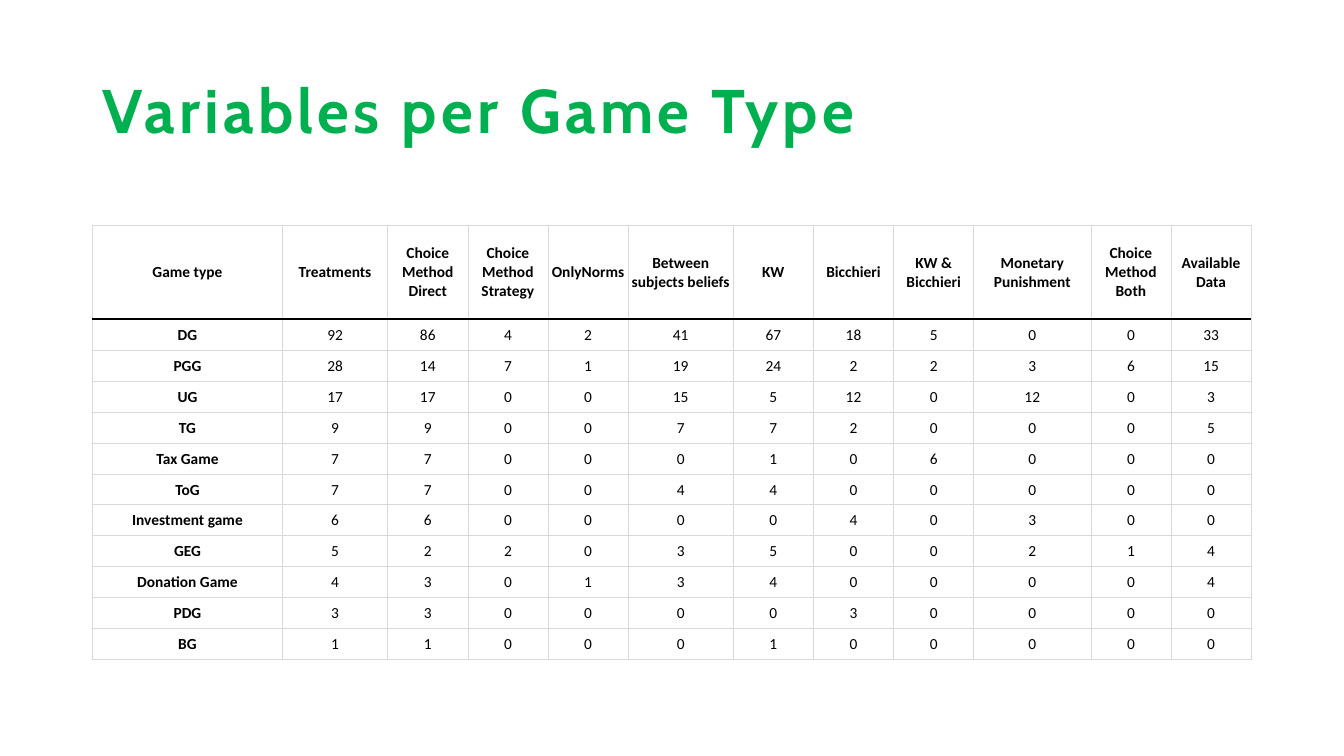
from pptx import Presentation
from pptx.dml.color import RGBColor
from pptx.enum.text import MSO_ANCHOR as Anchor, PP_ALIGN as Align
from pptx.oxml.ns import qn
from pptx.util import Cm, Pt
from lxml.etree import SubElement as Sub

# Content
TITLE = "Variables per Game Type"
HEADS = [
    "Game type", "Treatments", "Choice Method Direct",
    "Choice Method Strategy", "OnlyNorms", "Between subjects beliefs",
    "KW", "Bicchieri", "KW & Bicchieri", "Monetary Punishment",
    "Choice Method Both", "Available Data",
]
GAMES = [
    ("DG", 92, 86, 4, 2, 41, 67, 18, 5, 0, 0, 33),
    ("PGG", 28, 14, 7, 1, 19, 24, 2, 2, 3, 6, 15),
    ("UG", 17, 17, 0, 0, 15, 5, 12, 0, 12, 0, 3),
    ("TG", 9, 9, 0, 0, 7, 7, 2, 0, 0, 0, 5),
    ("Tax Game", 7, 7, 0, 0, 0, 1, 0, 6, 0, 0, 0),
    ("ToG", 7, 7, 0, 0, 4, 4, 0, 0, 0, 0, 0),
    ("Investment game", 6, 6, 0, 0, 0, 0, 4, 0, 3, 0, 0),
    ("GEG", 5, 2, 2, 0, 3, 5, 0, 0, 2, 1, 4),
    ("Donation Game", 4, 3, 0, 1, 3, 4, 0, 0, 0, 0, 4),
    ("PDG", 3, 3, 0, 0, 0, 0, 3, 0, 0, 0, 0),
    ("BG", 1, 1, 0, 0, 0, 1, 0, 0, 0, 0, 0),
]

# Style and sizes in cm
GREEN = RGBColor(0x00, 0xB0, 0x50)
BLACK = RGBColor(0x00, 0x00, 0x00)
GREY = RGBColor(0xD9, 0xD9, 0xD9)
LEFT, WIDTH = 2.33, 29.21
TOP = 5.68
NARROW = 2.02
WIDE = {0: 4.79, 1: 2.65, 5: 2.65, 9: 2.95}
HEAD_H, ROW_H = 2.36, 0.78
INSET = 0.02


def style(run, font, size, color, bold):
    run.font.name = font
    run.font.size = Pt(size)
    run.font.color.rgb = color
    run.font.bold = bold


def border(cell, side, color, width):
    line = Sub(cell._tc.get_or_add_tcPr(), qn(f"a:ln{side}"), w=str(Pt(width)))
    fill = Sub(line, qn("a:solidFill"))
    Sub(fill, qn("a:srgbClr"), val=str(color))


deck = Presentation()
deck.slide_width, deck.slide_height = Cm(33.87), Cm(19.05)
slide = deck.slides.add_slide(deck.slide_layouts[6])

# Title
box = slide.shapes.add_textbox(Cm(LEFT), Cm(1.01), Cm(WIDTH), Cm(3.68))
frame = box.text_frame
frame.word_wrap = True
frame.vertical_anchor = Anchor.MIDDLE
frame.text = TITLE
para = frame.paragraphs[0]
para.line_spacing = 0.9
style(para.runs[0], "Cabin", 44, GREEN, True)
para.runs[0].font._element.set("spc", "300")

# Table grid
rows = [HEADS] + GAMES
height = HEAD_H + ROW_H * len(GAMES)
table = slide.shapes.add_table(len(rows), len(HEADS), Cm(LEFT), Cm(TOP),
                               Cm(WIDTH), Cm(height)).table
table.horz_banding = False
for c, col in enumerate(table.columns):
    col.width = Cm(WIDE.get(c, NARROW))
for r, row in enumerate(table.rows):
    row.height = Cm(ROW_H if r else HEAD_H)

# Table cells, with a black rule under the header
for r, values in enumerate(rows):
    for c, value in enumerate(values):
        cell = table.cell(r, c)
        cell.text = str(value)
        cell.vertical_anchor = Anchor.MIDDLE
        cell.margin_left = cell.margin_right = cell.margin_top = Cm(INSET)
        cell.margin_bottom = 0
        para = cell.text_frame.paragraphs[0]
        para.alignment = Align.CENTER
        style(para.runs[0], "Calibri", 11, BLACK, r == 0 or c == 0)
        for side in "LRTB":
            rule = (r, side) in ((0, "B"), (1, "T"))
            border(cell, side, *((BLACK, 1) if rule else (GREY, 0.5)))
        cell.fill.background()

deck.save("out.pptx")
